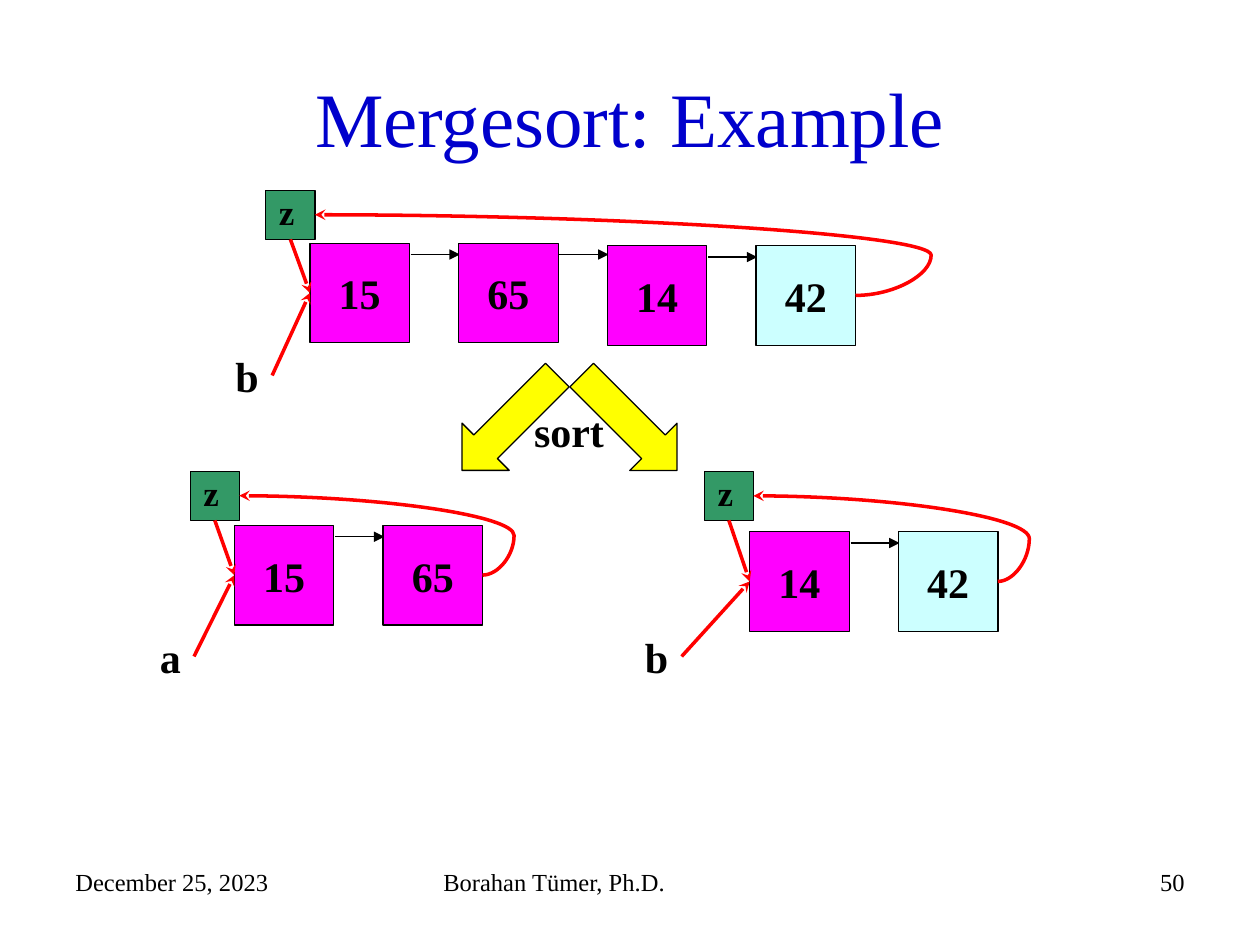
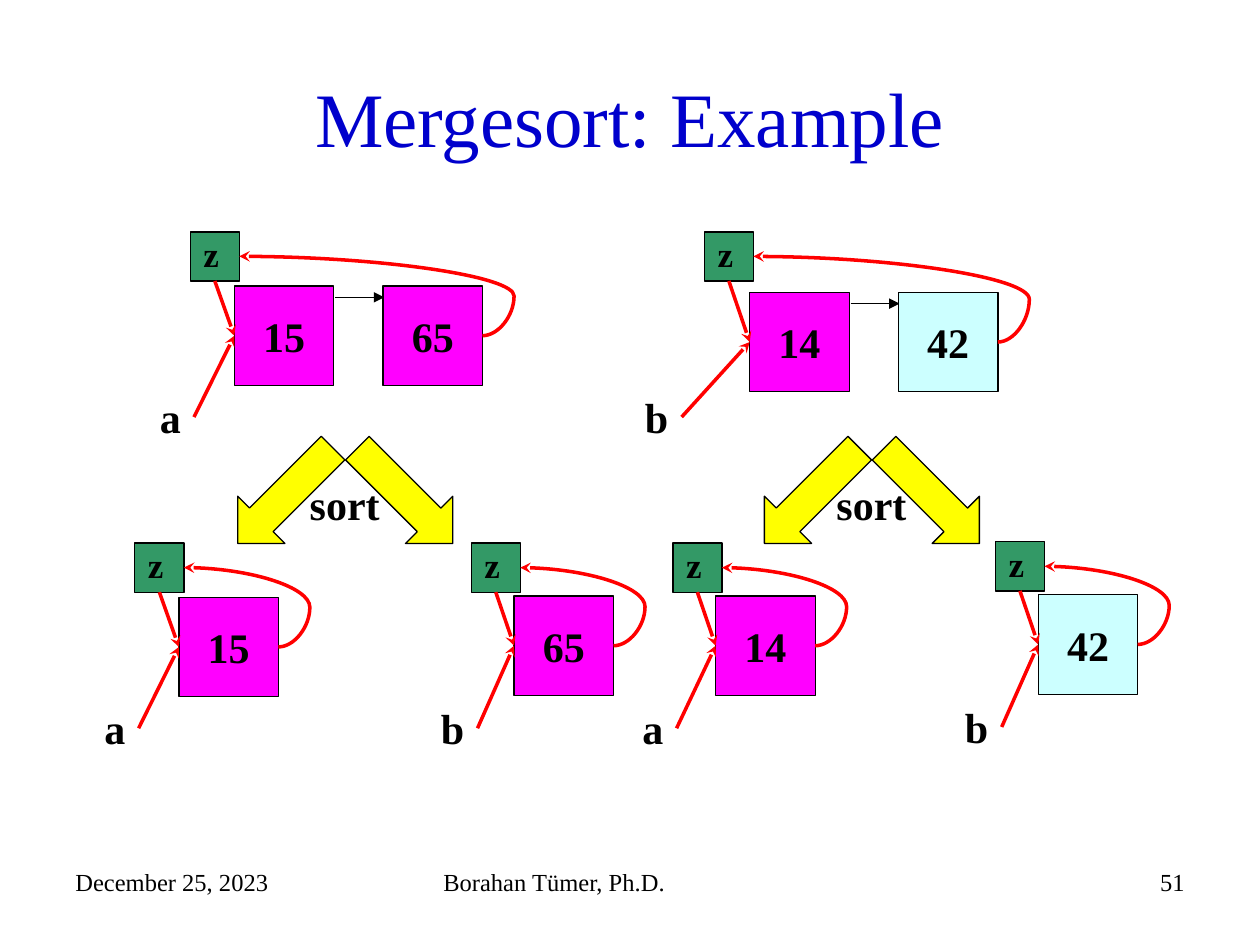
from lxml import etree
from pptx import Presentation
from pptx.dml import color
from pptx.enum import shapes, text
from pptx.oxml import ns
from pptx.util import Inches, Pt

COLORS = {
    "title": "0000CC",
    "ink": "000000",
    "sentinel": "339966",
    "node": "FF00FF",
    "last_node": "CCFFFF",
    "pointer": "FF0000",
    "sort": "FFFF00",
}
FONT = "Times New Roman"
TITLE = "Mergesort: Example"
NODE_SIZE = 0.79
NODE_PITCH = 1.18
SENTINEL_SIZE = 0.39
TOP, LEFT, BOTTOM, RIGHT = range(4)

CENTERED = {
    "word_wrap": False,
    "vertical_anchor": text.MSO_ANCHOR.MIDDLE,
}
GROWING = {
    "word_wrap": False,
    "auto_size": text.MSO_AUTO_SIZE.SHAPE_TO_FIT_TEXT,
}
SENTINEL_FRAME = CENTERED | {
    "margin_left": Inches(0.04),
    "margin_top": Inches(0),
    "margin_right": Inches(0.1),
    "margin_bottom": Inches(0.05),
}


def rgb(name):
    return color.RGBColor.from_string(COLORS[name])


def inches(*lengths):
    return [Inches(length) for length in lengths]


def apply(target, values):
    for name, value in values.items():
        setattr(target, name, value)


def write(shape, words, size, frame, align=text.PP_ALIGN.LEFT, bold=True, ink="ink"):
    apply(shape.text_frame, frame)
    paragraph = shape.text_frame.paragraphs[0]
    paragraph.alignment = align
    run = paragraph.add_run()
    run.text = words
    apply(run.font, {"name": FONT, "size": Pt(size), "bold": bold})
    run.font.color.rgb = rgb(ink)


def add_filled(parent, kind, box, fill):
    shape = parent.add_shape(kind, *inches(*box))
    shape.shadow.inherit = False
    shape.fill.solid()
    shape.fill.fore_color.rgb = rgb(fill)
    shape.line.color.rgb = rgb("ink")
    shape.line.width = Pt(0.75)
    return shape


def add_square(slide, left, top, size, fill, words, font_size, frame):
    square = add_filled(
        slide.shapes, shapes.MSO_SHAPE.RECTANGLE, (left, top, size, size), fill
    )
    write(square, words, font_size, frame, text.PP_ALIGN.CENTER)
    return square


def add_label(parent, box, words):
    label = parent.add_textbox(*inches(*box))
    write(label, words, 24, GROWING)
    return label


def add_arrow(slide, kind, ink, width, head, start=(0, 0), end=(0, 0)):
    arrow = slide.shapes.add_connector(kind, *inches(*start, *end))
    arrow.line.color.rgb = rgb(ink)
    arrow.line.width = Pt(width)
    properties = arrow.element.spPr
    line = properties.find(ns.qn("a:ln"))
    etree.SubElement(line, ns.qn("a:tailEnd"), type=head)
    etree.SubElement(properties, ns.qn("a:effectLst"))
    return arrow


def add_pointer(slide, source, source_side, target, target_side, curved=False):
    kind = shapes.MSO_CONNECTOR.CURVE if curved else shapes.MSO_CONNECTOR.STRAIGHT
    pointer = add_arrow(slide, kind, "pointer", 2, "stealth")
    pointer.begin_connect(source, source_side)
    pointer.end_connect(target, target_side)
    return pointer


def add_return_pointer(slide, last_node, sentinel, overhang):
    pointer = add_pointer(slide, last_node, RIGHT, sentinel, RIGHT, curved=True)
    geometry = pointer.element.spPr.find(ns.qn("a:prstGeom"))
    adjustments = geometry.find(ns.qn("a:avLst"))
    bend = round(-100000 * Inches(overhang) / pointer.width)
    etree.SubElement(adjustments, ns.qn("a:gd"), name="adj1", fmla=f"val {bend}")


def add_linked_list(slide, left, top, name, values, first=(0.35, 0.43),
                    label_shift=-0.34, overhang=0.25):
    sentinel = add_square(
        slide, left, top, SENTINEL_SIZE, "sentinel", "z", 20, SENTINEL_FRAME
    )
    nodes = []
    for index, value in enumerate(values):
        x = left + first[0] + index * NODE_PITCH
        y = top + first[1] + 0.02 * (index // 2)
        fill = "last_node" if value == 42 else "node"
        nodes.append(
            add_square(slide, x, y, NODE_SIZE, fill, str(value), 24, CENTERED)
        )
        if index < len(values) - 1:
            start = x + NODE_SIZE + 0.01
            add_arrow(slide, shapes.MSO_CONNECTOR.STRAIGHT, "ink", 0.75, "triangle",
                      (start, y + 0.09), (start + 0.39, y + 0.09))
    width = {"a": 0.37, "b": 0.39}[name]
    label = add_label(slide.shapes, (left + label_shift, top + 1.22, width, 0.5), name)
    add_pointer(slide, sentinel, BOTTOM, nodes[0], LEFT)
    add_pointer(slide, label, RIGHT, nodes[0], LEFT)
    add_return_pointer(slide, nodes[-1], sentinel, overhang)


def add_sort_split(slide, left, top):
    group = slide.shapes.add_group_shape()
    for shift, rotation in ((0, 45), (0.95, 315)):
        arrow = add_filled(group.shapes, shapes.MSO_SHAPE.DOWN_ARROW,
                           (left + shift, top, 0.53, 1.07), "sort")
        arrow.rotation = rotation
        arrow.adjustments[0] = 0.5
        arrow.adjustments[1] = 0.5
    add_label(group.shapes, (left + 0.36, top + 0.35, 0.76, 0.5), "sort")


def add_footer(slide, number):
    for left, width, words, align in (
        (0.5, 2.33, "December 25, 2023", text.PP_ALIGN.LEFT),
        (3.42, 3.17, "Borahan Tümer, Ph.D.", text.PP_ALIGN.LEFT),
        (7.17, 2.33, str(number), text.PP_ALIGN.RIGHT),
    ):
        box = slide.shapes.add_textbox(*inches(left, 6.83, width, 0.52))
        write(box, words, 14, {"word_wrap": True}, align, bold=False)


def add_example_slide(presentation, number):
    slide = presentation.slides.add_slide(presentation.slide_layouts[5])
    title = slide.shapes.title
    apply(title, dict(zip(("left", "top", "width", "height"),
                          inches(0.5, 0.3, 9, 1.25))))
    write(title, TITLE, 44, {"vertical_anchor": text.MSO_ANCHOR.MIDDLE},
          text.PP_ALIGN.CENTER, bold=False, ink="title")
    add_footer(slide, number)
    return slide


def add_halves(slide, top):
    add_linked_list(slide, 1.51, top, "a", (15, 65))
    add_linked_list(slide, 5.59, top, "b", (14, 42),
                    first=(0.36, 0.48), label_shift=-0.57)


def build_first_split(presentation):
    slide = add_example_slide(presentation, 50)
    add_linked_list(slide, 2.11, 1.51, "b", (15, 65, 14, 42),
                    first=(0.35, 0.42), overhang=0.6)
    add_sort_split(slide, 3.78, 2.82)
    add_halves(slide, 3.74)


def build_second_split(presentation):
    slide = add_example_slide(presentation, 51)
    add_halves(slide, 1.84)
    for left in (2, 6.18):
        add_sort_split(slide, left, 3.4)
    add_linked_list(slide, 1.07, 4.31, "a", (15,))
    for left, top, name, value in (
        (3.74, 4.31, "b", 65),
        (5.34, 4.31, "a", 14),
        (7.9, 4.3, "b", 42),
    ):
        add_linked_list(slide, left, top, name, (value,), first=(0.34, 0.42))


def main():
    presentation = Presentation()
    presentation.slide_width = Inches(10)
    presentation.slide_height = Inches(7.5)
    build_first_split(presentation)
    build_second_split(presentation)
    presentation.save("out.pptx")


if __name__ == "__main__":
    main()
